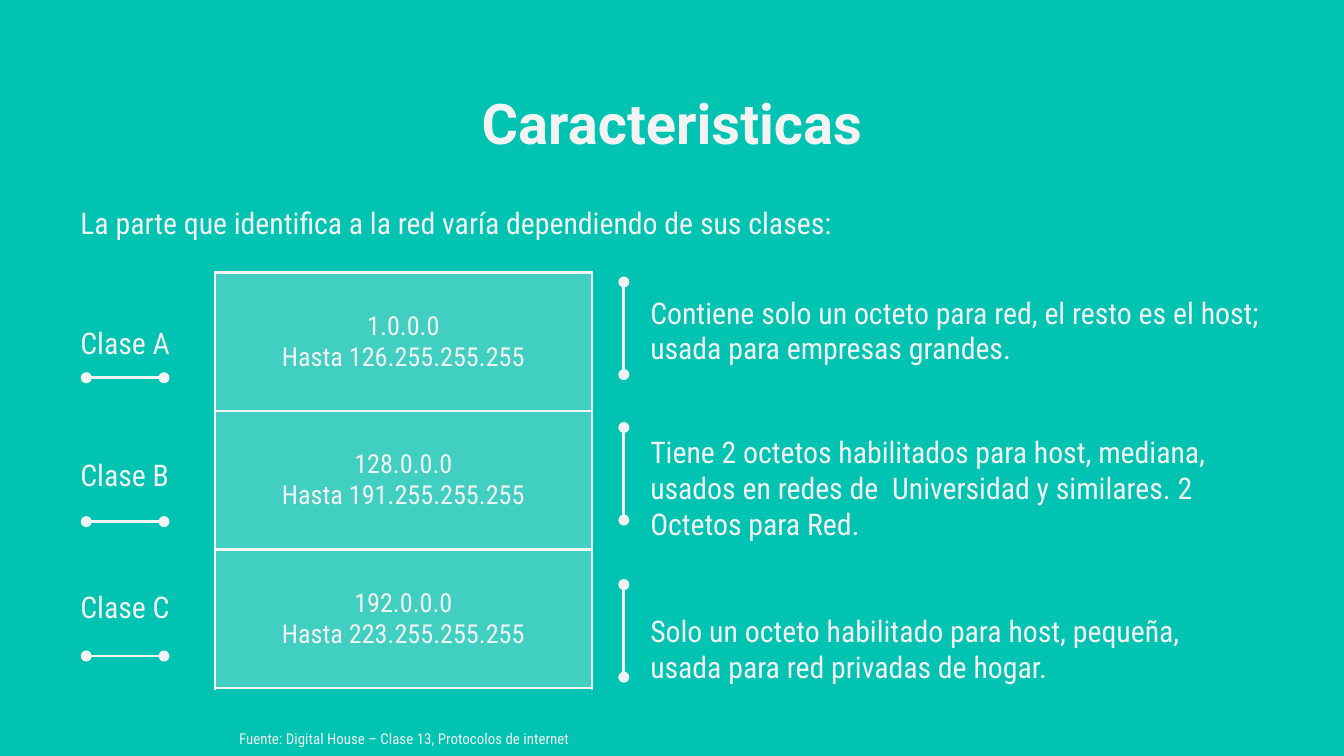
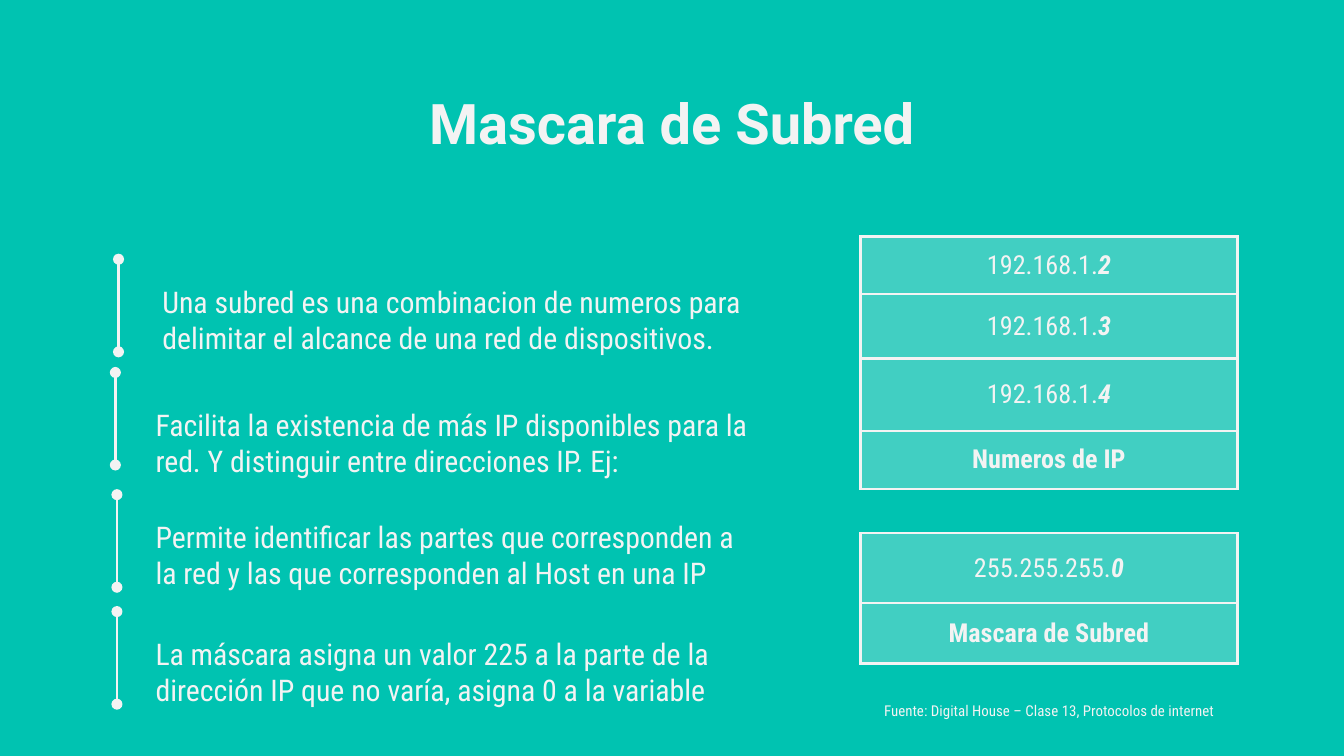
from lxml.etree import SubElement
from pptx import Presentation
from pptx.dml.color import RGBColor
from pptx.enum.shapes import MSO_CONNECTOR
from pptx.enum.text import MSO_ANCHOR, MSO_AUTO_SIZE, PP_ALIGN
from pptx.oxml.ns import qn
from pptx.util import Cm, Pt

TEAL = RGBColor(0x00, 0xC3, 0xB1)
OFF_WHITE = RGBColor(0xF3, 0xF3, 0xF3)

TITLE_FONT = {"name": "Roboto", "size": Pt(30), "bold": True}
BODY_FONT = {"name": "Roboto Condensed", "size": Pt(16)}
CELL_FONT = {"name": "Roboto Condensed", "size": Pt(14)}
SOURCE_FONT = {"name": "Roboto Condensed", "size": Pt(8)}
BOLD = {"bold": True}
BOLD_ITALIC = {"bold": True, "italic": True}

INSET = Cm(0.25)
LINE_WIDTH = Pt(1.5)
MARKER_LENGTH = 1.75
COLUMN_WIDTHS = (4.62, 2.51)
CELL_OPACITY = 27
SOURCE = "Fuente: Digital House – Clase 13, Protocolos de internet"


def set_attributes(target, values):
    for name, value in values.items():
        setattr(target, name, value)


def format_font(font, values):
    set_attributes(font, values)
    font.color.rgb = OFF_WHITE


def add_slide(presentation, title):
    slide = presentation.slides.add_slide(presentation.slide_layouts[5])
    shape = slide.shapes.title
    set_attributes(shape, {"left": Cm(2), "top": Cm(1.42), "width": Cm(21.4), "height": Cm(1.6)})
    set_attributes(shape.text_frame, {
        "text": title, "auto_size": MSO_AUTO_SIZE.NONE, "vertical_anchor": MSO_ANCHOR.TOP,
        "margin_left": INSET, "margin_right": INSET, "margin_top": INSET, "margin_bottom": INSET,
    })
    paragraph = shape.text_frame.paragraphs[0]
    paragraph.alignment = PP_ALIGN.CENTER
    format_font(paragraph.font, TITLE_FONT)
    return slide


def add_text(slide, lines, left, top, width, height, font=BODY_FONT,
             alignment=PP_ALIGN.LEFT, gap=0):
    """Add a box with one paragraph per line, `gap` points apart."""
    frame = slide.shapes.add_textbox(Cm(left), Cm(top), Cm(width), Cm(height)).text_frame
    set_attributes(frame, {
        "word_wrap": True, "auto_size": MSO_AUTO_SIZE.NONE, "vertical_anchor": MSO_ANCHOR.MIDDLE,
        "margin_left": INSET, "margin_right": INSET, "margin_top": Cm(0.76), "margin_bottom": INSET,
    })
    for index, line in enumerate(lines):
        paragraph = frame.paragraphs[0] if index == 0 else frame.add_paragraph()
        paragraph.text = line
        paragraph.alignment = alignment
        if index:
            paragraph.space_before = Pt(gap)
        format_font(paragraph.font, font)


def add_source(slide, left, top):
    add_text(slide, [SOURCE], left, top, 7.57, 0.84, SOURCE_FONT, PP_ALIGN.CENTER)


def add_dotted_end_line(slide, left, top, width=0, height=0):
    connector = slide.shapes.add_connector(
        MSO_CONNECTOR.STRAIGHT, Cm(left), Cm(top), Cm(left + width), Cm(top + height))
    connector.line.color.rgb = OFF_WHITE
    connector.line.width = LINE_WIDTH
    properties = connector.element.spPr
    outline = properties.find(qn("a:ln"))
    for end in ("a:headEnd", "a:tailEnd"):
        SubElement(outline, qn(end), type="oval")
    SubElement(properties, qn("a:effectLst"))


def style_cell(cell):
    """Give a cell its borders and translucent fill."""
    properties = cell._tc.get_or_add_tcPr()
    for side in ("a:lnL", "a:lnR", "a:lnT", "a:lnB"):
        border = SubElement(properties, qn(side), w=str(LINE_WIDTH))
        color_fill = SubElement(border, qn("a:solidFill"))
        SubElement(color_fill, qn("a:srgbClr"), val=str(OFF_WHITE))
    cell.fill.solid()
    cell.fill.fore_color.rgb = OFF_WHITE
    color = properties.find(qn("a:solidFill")).find(qn("a:srgbClr"))
    SubElement(color, qn("a:alpha"), val=str(CELL_OPACITY * 1000))


def fill_cell(cell, paragraphs):
    """Write paragraphs, each a list of (text, extra font values)."""
    set_attributes(cell, {
        "vertical_anchor": MSO_ANCHOR.MIDDLE,
        "margin_left": INSET, "margin_right": INSET, "margin_top": INSET, "margin_bottom": INSET,
    })
    frame = cell.text_frame
    for index, runs in enumerate(paragraphs):
        paragraph = frame.paragraphs[0] if index == 0 else frame.add_paragraph()
        paragraph.alignment = PP_ALIGN.CENTER
        for text, extra in runs:
            run = paragraph.add_run()
            run.text = text
            format_font(run.font, {**CELL_FONT, **extra})


def add_address_table(slide, left, top, rows):
    """Add a table of (height, paragraphs) rows, each merged across its columns."""
    total_height = sum(height for height, _ in rows)
    table = slide.shapes.add_table(
        len(rows), len(COLUMN_WIDTHS), Cm(left), Cm(top),
        Cm(sum(COLUMN_WIDTHS)), Cm(total_height)).table
    set_attributes(table, {"first_row": False, "horz_banding": False})
    for column, width in zip(table.columns, COLUMN_WIDTHS):
        column.width = Cm(width)
    for index, (height, paragraphs) in enumerate(rows):
        table.rows[index].height = Cm(height)
        cells = list(table.rows[index].cells)
        for cell in cells:
            style_cell(cell)
        cells[0].merge(cells[-1])
        fill_cell(cells[0], paragraphs)


def address(prefix, last_octet):
    return [[(prefix, {}), (last_octet, BOLD_ITALIC)]]


def build_features(presentation):
    slide = add_slide(presentation, "Caracteristicas")
    add_text(slide, ["La parte que identifica a la red varía dependiendo de sus clases:"],
             1.27, 2.8, 15.9, 2.31)
    add_text(slide, ["Clase A", "Clase B", "Clase C"], 1.27, 5.38, 2.8, 6.68, gap=51.5)
    for top in (7.14, 9.86, 12.4):
        add_dotted_end_line(slide, 1.63, top, width=1.47)

    ranges = (("1.0.0.0", "126.255.255.255"),
              ("128.0.0.0", "191.255.255.255"),
              ("192.0.0.0", "223.255.255.255"))
    add_address_table(slide, 4.06, 5.15, [
        (2.62, [[(first, {})], [(f"Hasta {last}", {})]]) for first, last in ranges])

    descriptions = (
        (5.33, 4.83, 12.22, 2.31,
         "Contiene solo un octeto para red, el resto es el host; usada para empresas grandes."),
        (8.08, 7.98, 11.73, 1.96,
         "Tiene 2 octetos habilitados para host, mediana, usados en redes de  Universidad "
         "y similares. 2 Octetos para Red."),
        (11.05, 10.85, 11.73, 2.31,
         "Solo un octeto habilitado para host, pequeña, usada para red privadas de hogar."),
    )
    for line_top, top, width, height, text in descriptions:
        add_dotted_end_line(slide, 11.79, line_top, height=MARKER_LENGTH)
        add_text(slide, [text], 12.04, top, width, height)
    add_source(slide, 3.86, 13.28)


def build_subnet_mask(presentation):
    slide = add_slide(presentation, "Mascara de Subred")
    statements = (
        (2.24, 4.9, 2.82, 4.98, 12.22, 1.6,
         "Una subred es una combinacion de numeros para delimitar el alcance de una red "
         "de dispositivos."),
        (2.18, 7.04, 2.69, 7.24, 11.73, 1.75,
         "Facilita la existencia de más IP disponibles para la red. Y distinguir entre "
         "direcciones IP. Ej:"),
        (2.21, 9.35, 2.69, 9.25, 11.73, 1.96,
         "Permite identificar las partes que corresponden a la red y las que corresponden "
         "al Host en una IP"),
        (2.21, 11.56, 2.69, 11.28, 11.73, 2.31,
         "La máscara asigna un valor 225 a la parte de la dirección IP que no varía, "
         "asigna 0 a la variable"),
    )
    for line_left, line_top, left, top, width, height, text in statements:
        add_dotted_end_line(slide, line_left, line_top, height=MARKER_LENGTH)
        add_text(slide, [text], left, top, width, height)

    hosts = [(height, address("192.168.1.", octet))
             for height, octet in ((1.09, "2"), (1.22, "3"), (1.37, "4"))]
    add_address_table(slide, 16.26, 4.47, hosts + [(1.09, [[("Numeros de IP", BOLD)]])])
    add_address_table(slide, 16.26, 10.08, [
        (1.32, address("255.255.255.", "0")),
        (1.14, [[("Mascara de Subred", BOLD)]]),
    ])
    add_source(slide, 16.05, 12.75)


def main():
    presentation = Presentation()
    set_attributes(presentation, {"slide_width": Cm(25.4), "slide_height": Cm(14.29)})
    background = presentation.slide_master.background.fill
    background.solid()
    background.fore_color.rgb = TEAL
    build_features(presentation)
    build_subnet_mask(presentation)
    presentation.save("out.pptx")


if __name__ == "__main__":
    main()
